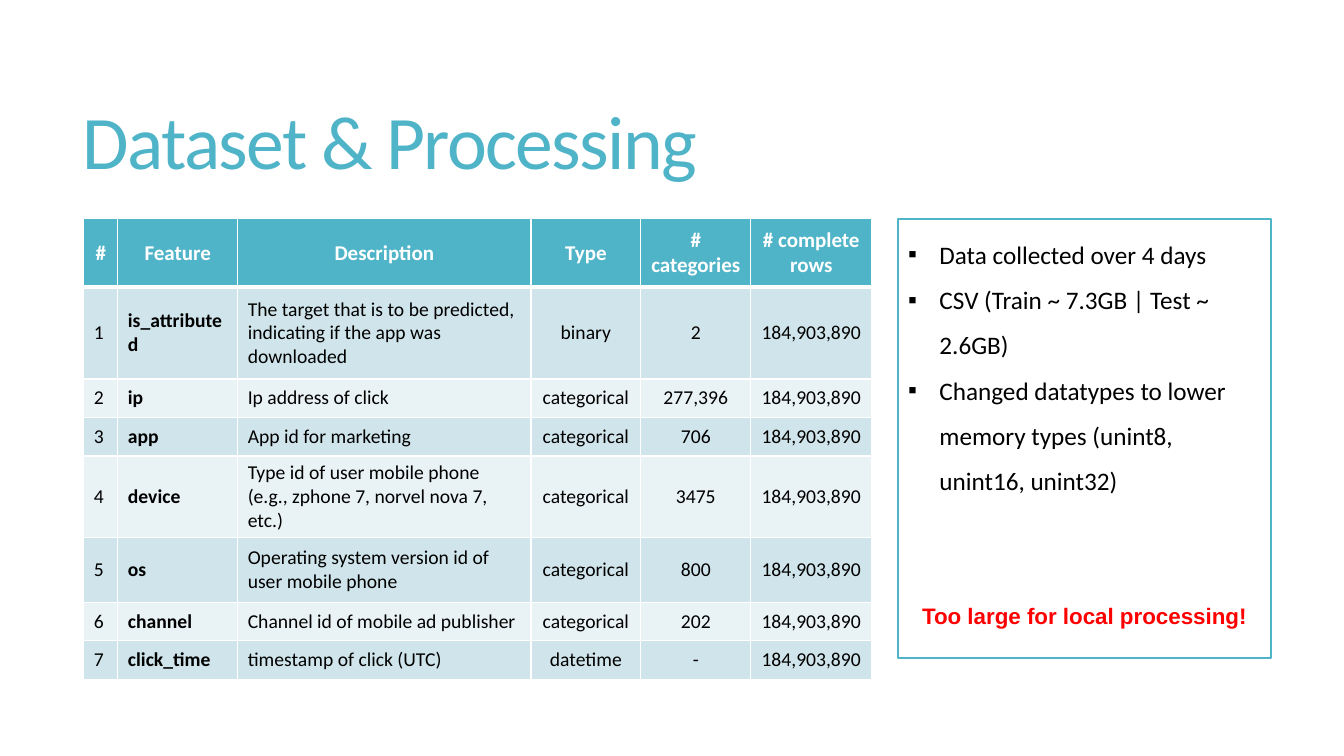
from lxml.etree import SubElement
from pptx import Presentation
from pptx.dml.color import RGBColor
from pptx.enum.text import MSO_ANCHOR as Anchor, MSO_AUTO_SIZE as AutoSize, PP_ALIGN as Align
from pptx.oxml.ns import qn
from pptx.util import Cm, Pt

TEAL = RGBColor(0x50, 0xB4, 0xC8)
DARK_BAND = RGBColor(0xD0, 0xE5, 0xEB)
LIGHT_BAND = RGBColor(0xE9, 0xF2, 0xF5)
WHITE = RGBColor(0xFF, 0xFF, 0xFF)
BLACK = RGBColor(0, 0, 0)
RED = RGBColor(0xFF, 0, 0)

COMPLETE_ROWS = "184,903,890"
HEADINGS = ["#", "Feature", "Description", "Type", "# categories", "# complete rows"]
FEATURES = [
    ("is_attributed", "The target that is to be predicted, indicating if the app was downloaded", "binary", "2"),
    ("ip", "Ip address of click", "categorical", "277,396"),
    ("app", "App id for marketing", "categorical", "706"),
    ("device", "Type id of user mobile phone (e.g., zphone 7, norvel nova 7, etc.)", "categorical", "3475"),
    ("os", "Operating system version id of user mobile phone", "categorical", "800"),
    ("channel", "Channel id of mobile ad publisher", "categorical", "202"),
    ("click_time", "timestamp of click (UTC)", "datetime", "-"),
]
COLUMN_WIDTHS = [0.86, 3.02, 7.39, 2.77, 2.77, 3.05]
ROW_HEIGHTS = [1.73, 2.31, 0.97, 0.97, 1.63, 1.63, 0.97, 0.97]
NOTES = [
    "Data collected over 4 days",
    "CSV (Train ~ 7.3GB | Test ~ 2.6GB)",
    "Changed datatypes to lower memory types (unint8, unint16, unint32)",
]
WARNING = "Too large for local processing!"


def style_font(paragraph, name, size, color, bold=False):
    font = paragraph.font
    font.name, font.size, font.bold = name, Pt(size), bold
    font.color.rgb = color


def add_cell_border(cell, side, width):
    line = SubElement(cell._tc.get_or_add_tcPr(), qn(f"a:ln{side}"), w=str(Pt(width)))
    fill = SubElement(line, qn("a:solidFill"))
    SubElement(fill, qn("a:srgbClr"), val=str(WHITE))


prs = Presentation()
prs.slide_width, prs.slide_height = Cm(33.87), Cm(19.05)
slide = prs.slides.add_slide(prs.slide_layouts[1])
for placeholder in list(slide.placeholders):
    if placeholder.placeholder_format.idx > 1:
        placeholder._element.getparent().remove(placeholder._element)

# Title
title = slide.shapes.title
title.left, title.top, title.width, title.height = Cm(1.83), Cm(1.4), Cm(29.92), Cm(4.6)
title.text_frame.text = "Dataset & Processing"
title.text_frame.auto_size = AutoSize.NONE
title.text_frame.vertical_anchor = Anchor.MIDDLE
heading = title.text_frame.paragraphs[0]
heading.alignment = Align.LEFT
heading.line_spacing = 0.85
style_font(heading, "Calibri", 54, TEAL)
heading.runs[0]._r.get_or_add_rPr().set("spc", "-120")

# Feature table
table_rows = [HEADINGS] + [
    [str(number), *feature, COMPLETE_ROWS] for number, feature in enumerate(FEATURES, 1)
]
feature_table = slide.shapes.add_table(
    len(table_rows), len(HEADINGS), Cm(2.11), Cm(5.51), Cm(19.86), Cm(11.18)
).table
for column, width in zip(feature_table.columns, COLUMN_WIDTHS):
    column.width = Cm(width)
for row, height in zip(feature_table.rows, ROW_HEIGHTS):
    row.height = Cm(height)

for r, values in enumerate(table_rows):
    is_header = r == 0
    for c, value in enumerate(values):
        cell = feature_table.cell(r, c)
        cell.text = value
        cell.vertical_anchor = Anchor.MIDDLE
        for side in "LRTB":
            under_header = (r, side) in [(0, "B"), (1, "T")]
            add_cell_border(cell, side, 3 if under_header else 1)
        cell.fill.solid()
        cell.fill.fore_color.rgb = TEAL if is_header else DARK_BAND if r % 2 else LIGHT_BAND
        entry = cell.text_frame.paragraphs[0]
        entry.alignment = Align.CENTER if is_header or c > 2 else Align.LEFT
        if is_header:
            style_font(entry, "Calibri", 15, WHITE, bold=True)
        else:
            style_font(entry, "Calibri", 14, BLACK, bold=c == 1)

# Notes box
notes_box = slide.placeholders[1]
notes_box.left, notes_box.top, notes_box.width, notes_box.height = Cm(22.63), Cm(5.51), Cm(9.4), Cm(11.07)
notes_box.line.color.rgb = TEAL
notes_box.line.width = Pt(1.5)
notes = notes_box.text_frame
notes.text = "\n".join(NOTES + [WARNING])
notes.auto_size = AutoSize.NONE
notes.vertical_anchor = Anchor.TOP
*bullets, warning = notes.paragraphs

for bullet in bullets:
    properties = bullet._p.get_or_add_pPr()
    properties.set("marL", str(Cm(0.79)))
    properties.set("indent", str(-Cm(0.79)))
    SubElement(properties, qn("a:buFont"), typeface="Arial")
    SubElement(properties, qn("a:buChar"), char="▪")
    bullet.line_spacing = 1.5
    bullet.space_before = Pt(0)
    style_font(bullet, "Calibri", 18, BLACK)

properties = warning._p.get_or_add_pPr()
properties.set("marL", "0")
properties.set("indent", "0")
SubElement(properties, qn("a:buNone"))
warning.alignment = Align.CENTER
warning.line_spacing = 1.5
warning.space_before = Pt(66)
style_font(warning, "Arial", 16, RED, bold=True)

prs.save("out.pptx")
